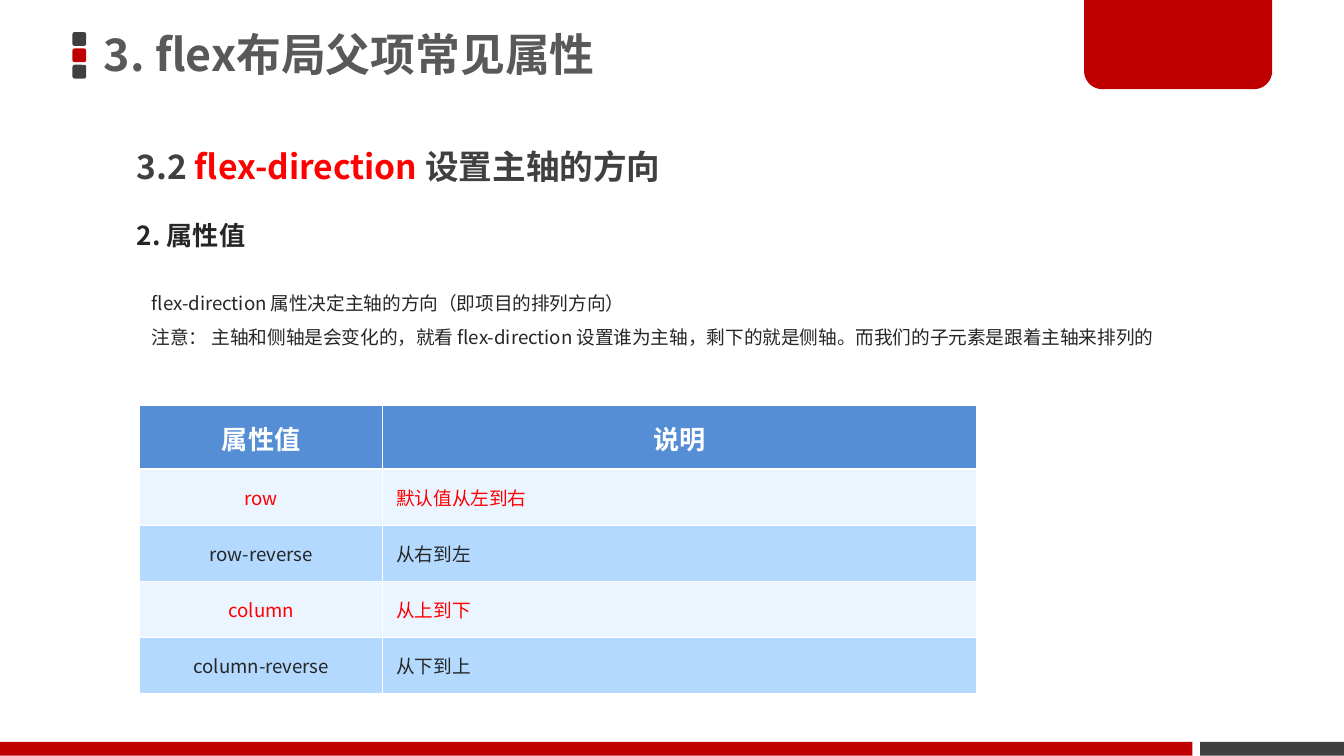
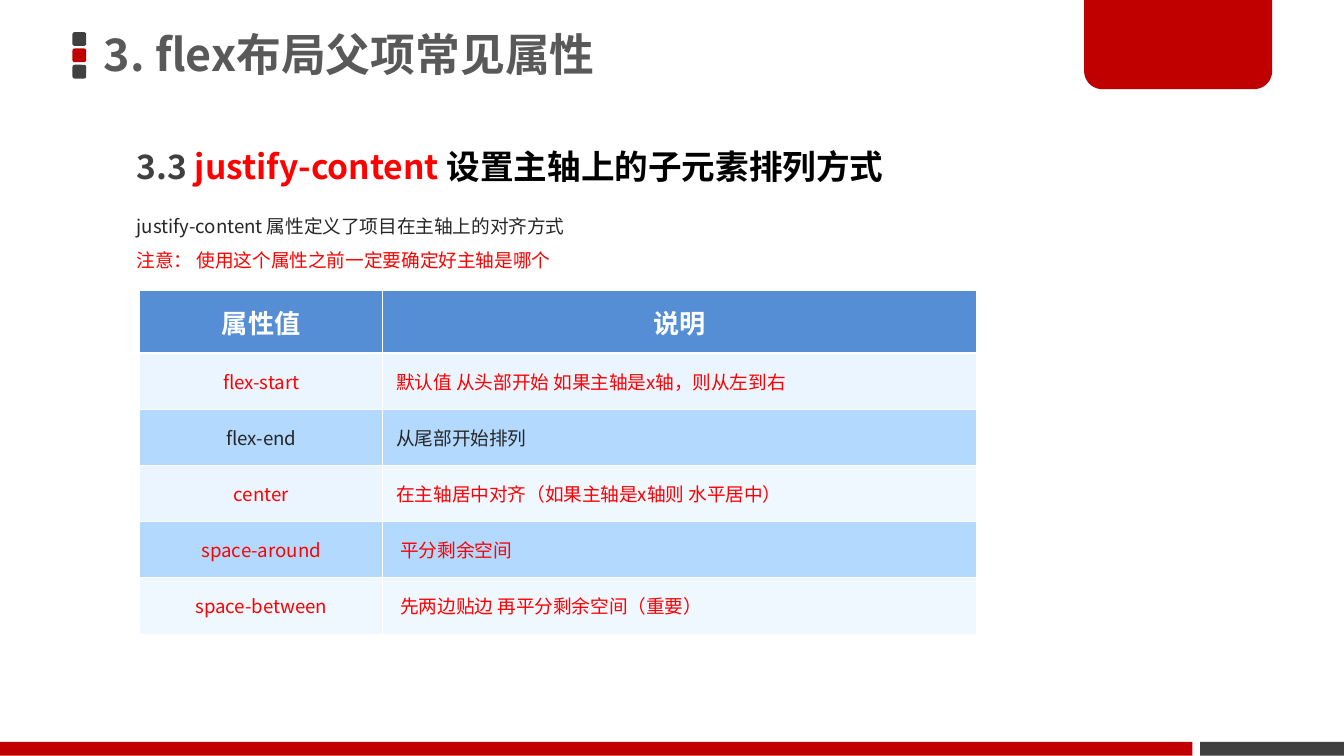
from math import cos, radians, sin

from lxml.etree import SubElement
from pptx import Presentation
from pptx.dml.color import RGBColor
from pptx.enum.shapes import MSO_SHAPE
from pptx.enum.text import MSO_ANCHOR, MSO_AUTO_SIZE, PP_ALIGN
from pptx.oxml.ns import qn
from pptx.util import Pt

FONT = "Noto Sans CJK SC"
CRIMSON, CHARCOAL, TITLE_GREY = "C00000", "404040", "595959"
INK, RED, BLACK, WHITE = "262626", "FF0000", "000000", "FFFFFF"
HEADER_BLUE, LIGHT_BAND, DARK_BAND, PALE_BAND = "558ED5", "EBF5FF", "B3D9FF", "EFF7FF"

SLIDE_WIDTH, SLIDE_HEIGHT = 720, 405
COLUMN_WIDTHS = (130.3, 318.2)
HEADER_HEIGHT, ROW_HEIGHT = 33.84, 30.1

TITLE = {"size": Pt(24), "bold": True}
HEADING = {"size": Pt(18), "bold": True}
SUBHEADING = {"size": Pt(14), "bold": True}
BODY = {"size": Pt(10), "bold": False}

TITLE_FRAME = {
    "margin_left": Pt(6), "margin_right": Pt(6),
    "margin_top": Pt(3), "margin_bottom": Pt(3),
    "vertical_anchor": MSO_ANCHOR.MIDDLE,
}
BODY_FRAME = {"auto_size": MSO_AUTO_SIZE.SHAPE_TO_FIT_TEXT}


def color(hex_string):
    return RGBColor.from_string(hex_string)


def set_values(target, values):
    for name, value in values.items():
        setattr(target, name, value)


def fill_flat(shape, fill):
    shape.fill.solid()
    shape.fill.fore_color.rgb = color(fill)
    shape.line.fill.background()
    shape.shadow.inherit = False


def add_block(shapes, kind, box, fill):
    block = shapes.add_shape(kind, *map(Pt, box))
    fill_flat(block, fill)
    return block


def write_runs(paragraph, runs, style):
    """Runs are (text, colour) pairs."""
    for text, ink in runs:
        run = paragraph.add_run()
        run.text = text
        set_values(run.font, {"name": FONT, **style})
        run.font.color.rgb = color(ink)
        SubElement(run.font._element, qn("a:ea"), typeface=FONT)


def add_text(slide, box, lines, style, frame_values=BODY_FRAME, spacing=1.5):
    frame = slide.shapes.add_textbox(*map(Pt, box)).text_frame
    frame.word_wrap = True
    set_values(frame, frame_values)
    for index, runs in enumerate(lines):
        paragraph = frame.add_paragraph() if index else frame.paragraphs[0]
        paragraph.line_spacing = spacing
        write_runs(paragraph, runs, style)


def add_title_marker(slide, left, top, side=7.4, pitch=8.75):
    marker = slide.shapes.add_group_shape()
    for index, fill in enumerate((CHARCOAL, CRIMSON, CHARCOAL)):
        box = (left, top + index * pitch, side, side)
        add_block(marker.shapes, MSO_SHAPE.ROUNDED_RECTANGLE, box, fill)


def add_corner_tab(slide, left, top, width, height, radius=9.8):
    """Tab hanging from the top edge, with its two lower corners rounded."""
    right, bottom = left + width, top + height
    outline = []
    for center_x, start in ((right - radius, 0), (left + radius, 90)):
        for degrees in range(start, start + 91, 10):
            angle = radians(degrees)
            outline.append((Pt(center_x + radius * cos(angle)),
                            Pt(bottom - radius + radius * sin(angle))))
    outline.append((Pt(left), Pt(top)))
    builder = slide.shapes.build_freeform(Pt(right), Pt(top))
    builder.add_line_segments(outline, close=True)
    fill_flat(builder.convert_to_shape(), CRIMSON)


def add_footer(slide, top, height, red_width=638.8, gap=4.2):
    gray_left = red_width + gap
    add_block(slide.shapes, MSO_SHAPE.RECTANGLE,
              (gray_left, top, SLIDE_WIDTH - gray_left, height), CHARCOAL)
    add_block(slide.shapes, MSO_SHAPE.RECTANGLE, (0, top, red_width, height), CRIMSON)


def add_cell_borders(cell, thick_side):
    properties = cell._tc.get_or_add_tcPr()
    for side in ("lnL", "lnR", "lnT", "lnB"):
        weight = Pt(1.47 if side == thick_side else 0.45)
        border = SubElement(properties, qn(f"a:{side}"), w=str(weight))
        SubElement(SubElement(border, qn("a:solidFill")), qn("a:srgbClr"), val=WHITE)


def style_cell(cell, fill, thick_side=None):
    add_cell_borders(cell, thick_side)
    cell.fill.solid()
    cell.fill.fore_color.rgb = color(fill)


def add_value_table(slide, left, top, values, pale_cells=(), indented_rows=()):
    """Values are (property value, description, colour) rows."""
    box = (left, top, sum(COLUMN_WIDTHS), HEADER_HEIGHT + ROW_HEIGHT * len(values))
    table = slide.shapes.add_table(len(values) + 1, 2, *map(Pt, box)).table
    for column, width in zip(table.columns, COLUMN_WIDTHS):
        column.width = Pt(width)
    for index, row in enumerate(table.rows):
        row.height = Pt(ROW_HEIGHT if index else HEADER_HEIGHT)

    for column, label in enumerate(("属性值", "说明")):
        cell = table.cell(0, column)
        style_cell(cell, HEADER_BLUE, "lnB")
        paragraph = cell.text_frame.paragraphs[0]
        set_values(paragraph, {"alignment": PP_ALIGN.CENTER, "line_spacing": Pt(24)})
        write_runs(paragraph, [(label, WHITE)], SUBHEADING)

    for row, (value, description, ink) in enumerate(values, start=1):
        band = LIGHT_BAND if row % 2 else DARK_BAND
        for column, text in enumerate((value, description)):
            cell = table.cell(row, column)
            style_cell(cell, PALE_BAND if (row, column) in pale_cells else band,
                       "lnT" if row == 1 else None)
            cell.vertical_anchor = MSO_ANCHOR.MIDDLE
            paragraph = cell.text_frame.paragraphs[0]
            paragraph.alignment = PP_ALIGN.LEFT if column else PP_ALIGN.CENTER
            write_runs(paragraph, [(text, ink)], BODY)
        if row in indented_rows:
            table.cell(row, 1).margin_left = Pt(9.4)


def add_base_slide(deck):
    slide = deck.slides.add_slide(deck.slide_layouts[6])
    add_title_marker(slide, 38.8, 17.2)
    add_corner_tab(slide, 580.8, -1.4, 100.8, 49.2)
    add_footer(slide, 397.5, 7.4)
    add_text(slide, (49.7, -1.4, 424, 64), [[("3. flex布局父项常见属性", TITLE_GREY)]],
             TITLE, TITLE_FRAME, 0.9)
    return slide


def add_heading(slide, box, number, keyword, topic, topic_ink):
    runs = [(f"{number} ", CHARCOAL), (f"{keyword} ", RED), (topic, topic_ink)]
    add_text(slide, box, [runs], HEADING)


def build_direction_slide(deck, left=66.2, top=64):
    slide = add_base_slide(deck)
    add_heading(slide, (left, top, 468.7, 39.6),
                "3.2", "flex-direction", "设置主轴的方向", CHARCOAL)
    add_text(slide, (left, top + 41.8, 429, 32.4), [[("2. 属性值", INK)]], SUBHEADING)
    add_text(slide, (left + 8, top + 82.9, 598.3, 43.2), [
        [("flex-direction 属性决定主轴的方向（即项目的排列方向）", INK)],
        [("注意： 主轴和侧轴是会变化的，就看 flex-direction 设置谁为主轴，"
          "剩下的就是侧轴。而我们的子元素是跟着主轴来排列的", INK)],
    ], BODY)
    add_value_table(slide, left + 8.6, top + 153.4, [
        ("row", "默认值从左到右", RED),
        ("row-reverse", "从右到左", INK),
        ("column", "从上到下", RED),
        ("column-reverse", "从下到上", INK),
    ])


def build_justify_slide(deck, left=66.2, top=64):
    slide = add_base_slide(deck)
    add_heading(slide, (left, top, 504.7, 39.6),
                "3.3", "justify-content", "设置主轴上的子元素排列方式", BLACK)
    add_text(slide, (left, top + 41.8, 598.3, 43.2), [
        [("justify-content 属性定义了项目在主轴上的对齐方式", INK)],
        [("注意： 使用这个属性之前一定要确定好主轴是哪个", RED)],
    ], BODY)
    add_value_table(slide, left + 8.6, top + 91.4, [
        ("flex-start", "默认值 从头部开始 如果主轴是x轴，则从左到右", RED),
        ("flex-end", "从尾部开始排列", INK),
        ("center", "在主轴居中对齐（如果主轴是x轴则 水平居中）", RED),
        ("space-around", "平分剩余空间", RED),
        ("space-between", "先两边贴边 再平分剩余空间（重要）", RED),
    ], pale_cells={(3, 1), (5, 0), (5, 1)}, indented_rows={4, 5})


def main():
    deck = Presentation()
    set_values(deck, {"slide_width": Pt(SLIDE_WIDTH), "slide_height": Pt(SLIDE_HEIGHT)})
    build_direction_slide(deck)
    build_justify_slide(deck)
    deck.save("out.pptx")


if __name__ == "__main__":
    main()
